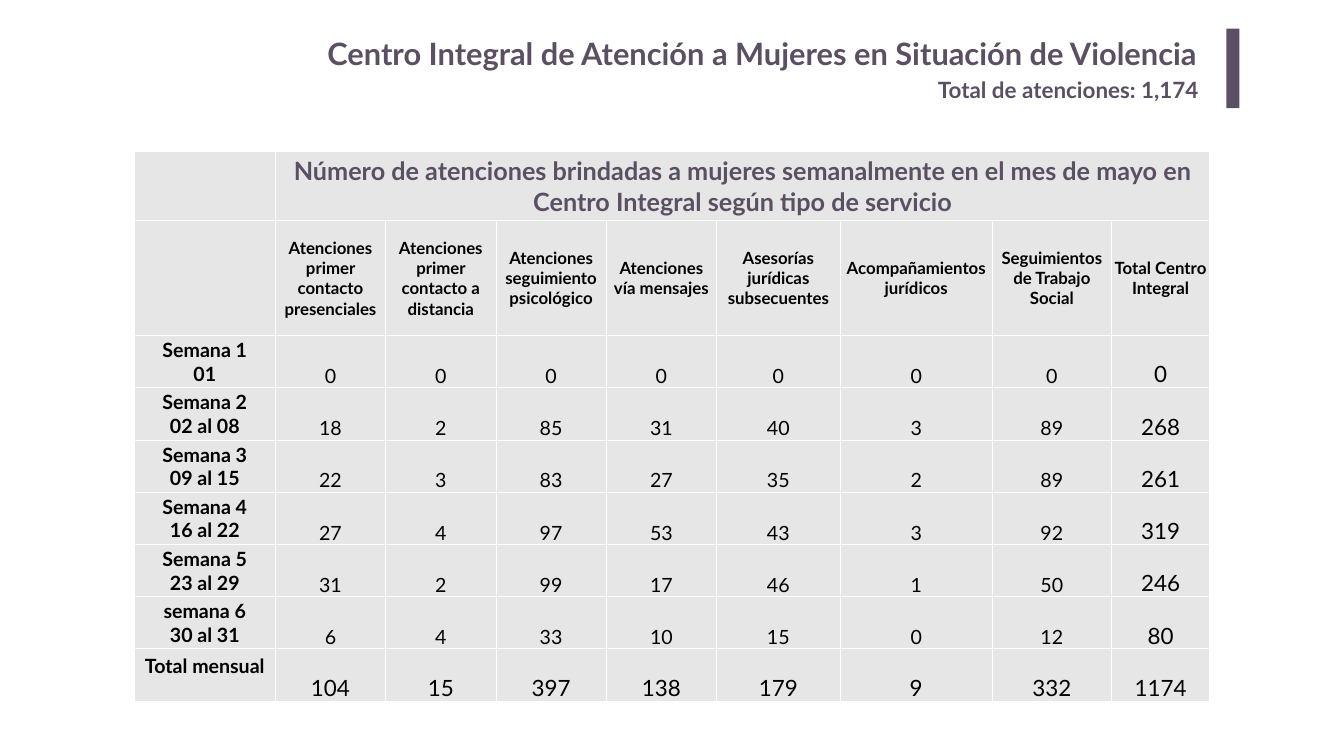
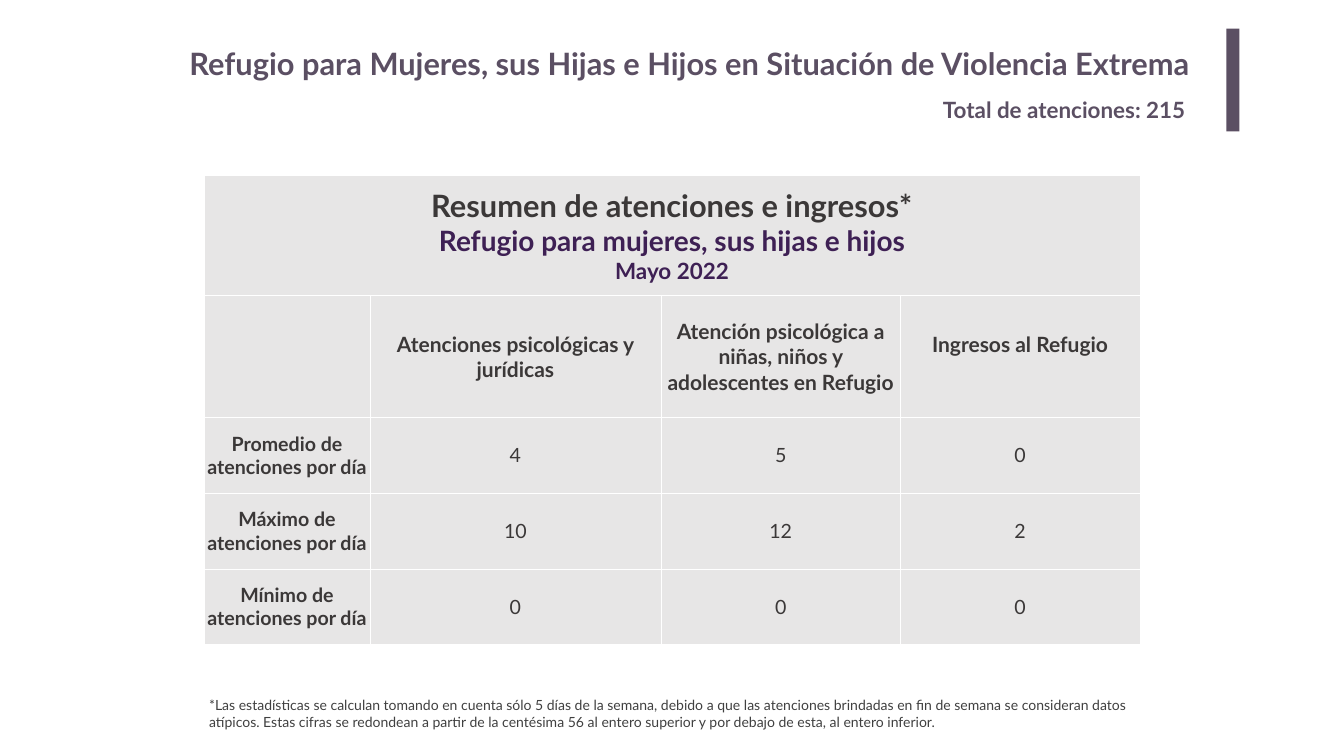
from dataclasses import dataclass

import lxml.etree
import pptx
import pptx.dml.color
import pptx.enum.shapes
import pptx.enum.text
import pptx.oxml.ns
import pptx.util

Pt = pptx.util.Pt
Align = pptx.enum.text.PP_ALIGN
Anchor = pptx.enum.text.MSO_ANCHOR

FONT = "Lato"
COLORS = {
    "accent": "5B4F63",
    "cell": "E7E6E6",
    "border": "FFFFFF",
    "black": "000000",
    "charcoal": "3B3838",
    "purple": "3E2054",
    "note": "404040",
}


@dataclass(frozen=True)
class Line:
    text: str
    size: float
    color: str = "accent"
    bold: bool = True


@dataclass(frozen=True)
class TextBox:
    line: Line
    left: float
    top: float
    width: float
    height: float
    align: Align = Align.LEFT
    inset_x: float = 7.2
    inset_y: float = 3.6


@dataclass(frozen=True)
class Cell:
    lines: tuple[Line, ...] = ()
    anchor: Anchor = Anchor.MIDDLE
    bottom: float = 0


@dataclass(frozen=True)
class Grid:
    left: float
    top: float
    columns: list[float]
    rows: list[float]
    cells: list[list[Cell]]
    title_from: int
    inset: float


def rgb(name: str) -> pptx.dml.color.RGBColor:
    return pptx.dml.color.RGBColor.from_string(COLORS[name])


def write_line(para, line: Line, align: Align) -> None:
    para.alignment = align
    for index, part in enumerate(line.text.split("\n")):
        if index:
            para.add_line_break()
        span = para.add_run()
        span.text = part
        span.font.name = FONT
        span.font.size = Pt(line.size)
        span.font.bold = line.bold
        span.font.color.rgb = rgb(line.color)


def add_text(page, item: TextBox) -> None:
    box = page.shapes.add_textbox(Pt(item.left), Pt(item.top), Pt(item.width), Pt(item.height))
    frame = box.text_frame
    frame.word_wrap = True
    frame.margin_left = frame.margin_right = Pt(item.inset_x)
    frame.margin_top = frame.margin_bottom = Pt(item.inset_y)
    write_line(frame.paragraphs[0], item.line, item.align)


def add_side_bar(page, height: float) -> None:
    bar = page.shapes.add_shape(
        pptx.enum.shapes.MSO_SHAPE.RECTANGLE, Pt(1751.8), Pt(41), Pt(18.7), Pt(height)
    )
    bar.shadow.inherit = False
    bar.fill.solid()
    bar.fill.fore_color.rgb = rgb("accent")
    bar.line.fill.background()


def add_borders(cell) -> None:
    qn = pptx.oxml.ns.qn
    properties = cell._tc.get_or_add_tcPr()
    for side in ("a:lnL", "a:lnR", "a:lnT", "a:lnB"):
        border = lxml.etree.SubElement(properties, qn(side), w=str(Pt(1)))
        fill = lxml.etree.SubElement(border, qn("a:solidFill"))
        lxml.etree.SubElement(fill, qn("a:srgbClr"), val=COLORS["border"])


def fill_cell(cell, content: Cell, inset: float) -> None:
    add_borders(cell)
    cell.fill.solid()
    cell.fill.fore_color.rgb = rgb("cell")
    cell.vertical_anchor = content.anchor
    cell.margin_left = cell.margin_right = cell.margin_top = Pt(inset)
    cell.margin_bottom = Pt(content.bottom)
    frame = cell.text_frame
    for index, line in enumerate(content.lines):
        para = frame.add_paragraph() if index else frame.paragraphs[0]
        write_line(para, line, Align.CENTER)


def add_grid(page, grid: Grid) -> None:
    table = page.shapes.add_table(
        len(grid.rows), len(grid.columns), Pt(grid.left), Pt(grid.top),
        Pt(sum(grid.columns)), Pt(sum(grid.rows)),
    ).table
    table.first_row = False
    table.horz_banding = False
    for column, width in zip(table.columns, grid.columns):
        column.width = Pt(width)
    for row, height in zip(table.rows, grid.rows):
        row.height = Pt(height)
    table.cell(0, grid.title_from).merge(table.cell(0, len(grid.columns) - 1))
    for row, contents in zip(table.rows, grid.cells):
        for cell, content in zip(row.cells, contents):
            fill_cell(cell, content, grid.inset)


def text_cell(text: str, size: float, color: str, bold: bool = True,
              anchor: Anchor = Anchor.MIDDLE, bottom: float = 0) -> Cell:
    return Cell((Line(text, size, color, bold),), anchor, bottom)


def weekly_grid() -> Grid:
    services = [
        "Atenciones primer contacto presenciales",
        "Atenciones primer contacto a distancia",
        "Atenciones seguimiento psicológico",
        "Atenciones\nvía mensajes",
        "Asesorías jurídicas subsecuentes",
        "Acompañamientos jurídicos",
        "Seguimientos de Trabajo Social",
        "Total Centro Integral",
    ]
    weeks = {
        "Semana 1\n01": [0, 0, 0, 0, 0, 0, 0, 0],
        "Semana 2\n02 al 08": [18, 2, 85, 31, 40, 3, 89, 268],
        "Semana 3\n09 al 15": [22, 3, 83, 27, 35, 2, 89, 261],
        "Semana 4\n16 al 22": [27, 4, 97, 53, 43, 3, 92, 319],
        "Semana 5\n23 al 29": [31, 2, 99, 17, 46, 1, 50, 246],
        "semana 6\n30 al 31": [6, 4, 33, 10, 15, 0, 12, 80],
    }
    totals = [104, 15, 397, 138, 179, 9, 332, 1174]

    def number(value: int, size: float) -> Cell:
        return text_cell(str(value), size, "black", False, Anchor.BOTTOM)

    title = text_cell(
        "Número de atenciones brindadas a mujeres semanalmente en el mes de mayo "
        "en Centro Integral según tipo de servicio", 36, "accent",
    )
    cells = [
        [Cell(), title] + [Cell()] * 7,
        [Cell()] + [text_cell(service, 24, "black") for service in services],
    ]
    for week, (*counts, total) in weeks.items():
        cells.append(
            [text_cell(week, 28, "black")]
            + [number(count, 28) for count in counts]
            + [number(total, 32)]
        )
    cells.append(
        [text_cell("Total mensual", 28, "black", anchor=Anchor.BOTTOM, bottom=33.6)]
        + [number(total, 32) for total in totals]
    )
    return Grid(
        left=191.7, top=216.2,
        columns=[201.6] + [157.6] * 4 + [176.6, 217.4, 170, 140.6],
        rows=[99, 164.2] + [74.6] * 7,
        cells=cells, title_from=1, inset=0.7,
    )


def shelter_grid() -> Grid:
    summary = {
        "Promedio de": [4, 5, 0],
        "Máximo de": [10, 12, 2],
        "Mínimo de": [0, 0, 0],
    }
    title = Cell((
        Line("Resumen de atenciones e ingresos*", 44, "charcoal"),
        Line("Refugio para mujeres, sus hijas e hijos", 40, "purple"),
        Line("Mayo 2022", 32, "purple"),
    ))
    cells = [
        [title] + [Cell()] * 3,
        [
            Cell(),
            text_cell("Atenciones psicológicas y jurídicas", 30, "charcoal"),
            text_cell("Atención psicológica a niñas, niños y adolescentes en Refugio", 30, "charcoal"),
            text_cell("Ingresos al Refugio", 30, "charcoal", bottom=36),
        ],
    ]
    for measure, values in summary.items():
        cells.append(
            [text_cell(f"{measure} atenciones por día", 28, "charcoal")]
            + [text_cell(str(value), 28, "charcoal", False) for value in values]
        )
    return Grid(
        left=291.6, top=250.2,
        columns=[236.7, 416, 342, 342],
        rows=[172.2, 174.2] + [108] * 3,
        cells=cells, title_from=0, inset=0,
    )


def add_page(deck, bar_height: float, grid: Grid, texts: list[TextBox]) -> None:
    page = deck.slides.add_slide(deck.slide_layouts[6])
    add_side_bar(page, bar_height)
    add_grid(page, grid)
    for item in texts:
        add_text(page, item)


def main() -> None:
    deck = pptx.Presentation()
    deck.slide_width = Pt(1920)
    deck.slide_height = Pt(1080)
    add_page(deck, 113.4, weekly_grid(), [
        TextBox(
            Line("Centro Integral de Atención a Mujeres en Situación de Violencia", 44),
            263.5, 41.8, 1461.6, 73.4, Align.RIGHT, 14.4, 7.2,
        ),
        TextBox(Line("Total de atenciones: 1,174", 32), 1332.7, 105.8, 396.7, 46),
    ])
    add_page(deck, 146.9, shelter_grid(), [
        TextBox(Line("Total de atenciones: 215", 32), 1339.9, 133.2, 385.2, 46),
        TextBox(
            Line("Refugio para Mujeres, sus Hijas e Hijos en Situación de Violencia Extrema", 44),
            263.5, 60.5, 1492.6, 60.5,
        ),
        TextBox(
            Line(
                "*Las estadísticas se calculan tomando en cuenta sólo 5 días de la semana, "
                "debido a que las atenciones brindadas en fin de semana se consideran datos "
                "atípicos. Estas cifras se redondean a partir de la centésima 56 al entero "
                "superior y por debajo de esta, al entero inferior.",
                20, "note", False,
            ),
            291.6, 991.4, 1336.3, 55.4,
        ),
    ])
    deck.save("out.pptx")


if __name__ == "__main__":
    main()
